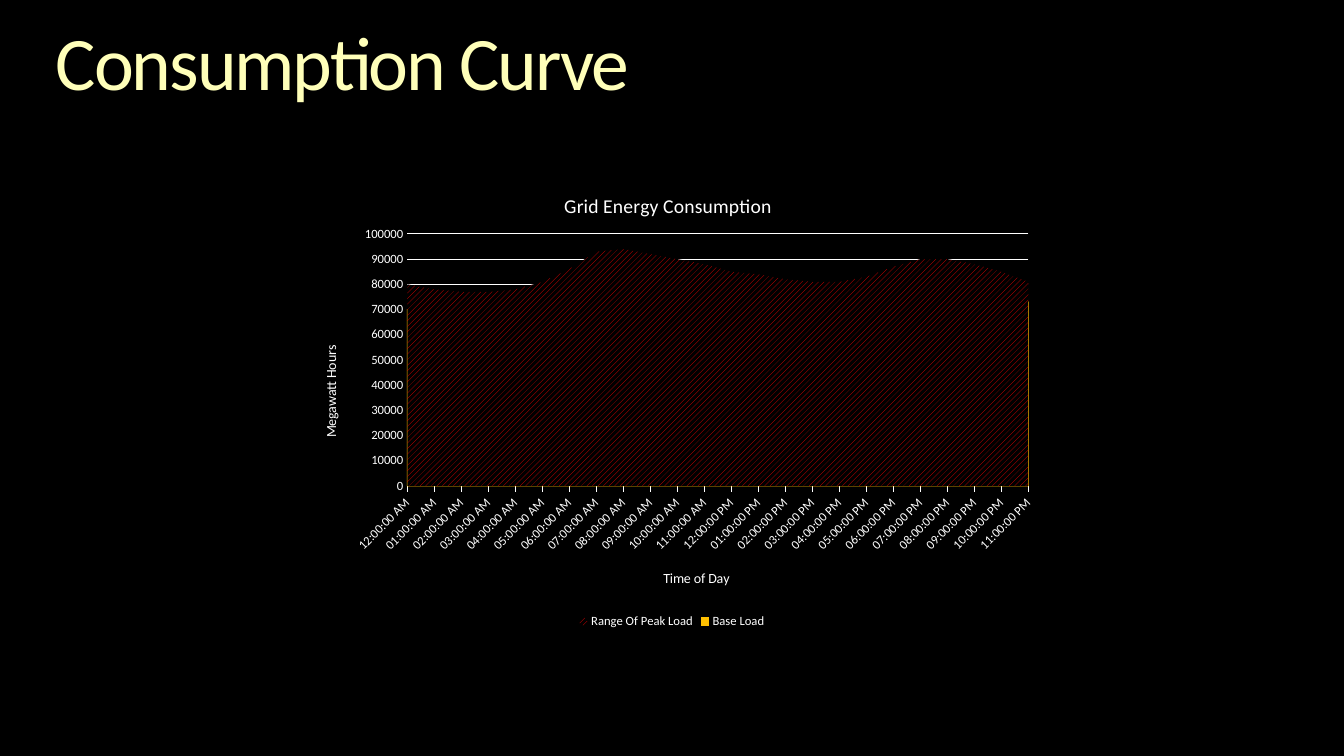
"""Build the Consumption Curve slide with an hourly energy area chart."""
import pptx
import pptx.util
import pptx.chart.data
import pptx.dml.color
import pptx.enum.chart
import pptx.enum.dml
import pptx.enum.text
import pptx.oxml

PX = 914400 / 100.8
BLACK = pptx.dml.color.RGBColor(0, 0, 0)
WHITE = pptx.dml.color.RGBColor(255, 255, 255)
RED = pptx.dml.color.RGBColor(255, 0, 0)
AMBER = pptx.dml.color.RGBColor(255, 192, 0)
CREAM = pptx.dml.color.RGBColor(255, 255, 185)
FONT = "Calibri"
CHART_LEFT, CHART_TOP, CHART_WIDTH, CHART_HEIGHT = 296, 169, 752, 464
PEAK_LOAD = [80, 78, 77, 77, 78, 81, 86, 93, 94, 92, 90, 88,
             85, 84, 82, 81, 81, 83, 87, 90, 90, 88, 85, 81]
BASE_LOAD = [70, 68, 67, 66, 65, 66, 67, 69, 71, 73, 74, 74,
             74, 74, 74, 74, 75, 76, 79, 81, 80, 78, 75, 73]


def style_font(font, size, color=WHITE):
    font.name = FONT
    font.size = pptx.util.Pt(size)
    font.bold = False
    font.color.rgb = color


def place(element, left, top, width=None, height=None):
    """Fix a chart part at a slide position given in px."""
    values = {"x": (left - CHART_LEFT) / CHART_WIDTH, "y": (top - CHART_TOP) / CHART_HEIGHT}
    target = ""
    if width:
        target = '<c:layoutTarget val="inner"/>'
        values.update(w=width / CHART_WIDTH, h=height / CHART_HEIGHT)
    modes = "".join(f'<c:{key}Mode val="edge"/>' for key in "xy")
    sizes = "".join(f'<c:{key} val="{value:.3f}"/>' for key, value in values.items())
    layout = pptx.oxml.parse_xml(
        '<c:layout xmlns:c="http://schemas.openxmlformats.org/drawingml/2006/chart">'
        f"<c:manualLayout>{target}{modes}{sizes}</c:manualLayout></c:layout>")
    for old in element.xpath("c:layout"):
        element.remove(old)
    element.insert(len(element.xpath("c:tx")), layout)


deck = pptx.Presentation()
deck.slide_width = round(1344 * PX)
deck.slide_height = round(756 * PX)
page = deck.slides.add_slide(deck.slide_layouts[5])
page.background.fill.solid()
page.background.fill.fore_color.rgb = BLACK

title = page.shapes.title
title.left, title.top, title.width, title.height = [round(n * PX) for n in (56, 25, 1231, 83)]
frame = title.text_frame
frame.margin_left = frame.margin_right = frame.margin_top = frame.margin_bottom = 0
frame.vertical_anchor = pptx.enum.text.MSO_ANCHOR.TOP
frame.text = "Consumption Curve"
para = frame.paragraphs[0]
para.alignment = pptx.enum.text.PP_ALIGN.LEFT
para.line_spacing = 0.9
style_font(para.font, 54, CREAM)
para.runs[0].font._element.set("spc", "-150")

data = pptx.chart.data.CategoryChartData(number_format="General")
data.categories = [f"{(hour - 1) % 12 + 1:02}:00:00 {'AM' if hour < 12 else 'PM'}"
                   for hour in range(24)]
for name, loads in (("Range Of Peak Load", PEAK_LOAD), ("Base Load", BASE_LOAD)):
    data.add_series(name, [load * 1000 for load in loads])
chart = page.shapes.add_chart(
    pptx.enum.chart.XL_CHART_TYPE.AREA,
    *[round(n * PX) for n in (CHART_LEFT, CHART_TOP, CHART_WIDTH, CHART_HEIGHT)], data).chart
style_font(chart.font, 10)
chart.plots[0].vary_by_categories = False
place(chart._chartSpace.chart.plotArea, 407, 234, 621, 252)

peak, base = chart.plots[0].series
peak.format.fill.patterned()
peak.format.fill.pattern = pptx.enum.dml.MSO_PATTERN.WIDE_UPWARD_DIAGONAL
peak.format.fill.fore_color.rgb = RED
peak.format.fill.back_color.rgb = BLACK
peak.format.line.fill.background()
base.format.fill.solid()
base.format.fill.fore_color.rgb = AMBER
base.format.line.color.rgb = AMBER
base.format.line.width = pptx.util.Pt(0.75)

hours, megawatts = chart.category_axis, chart.value_axis
for owner, wording, size, left, top in (
        (chart, "Grid Energy Consumption", 14, 561, 189),
        (hours, "Time of Day", 10, 661, 566),
        (megawatts, "Megawatt Hours", 10, 319, 343)):
    heading = owner.chart_title if owner is chart else owner.axis_title
    heading.text_frame.text = wording
    style_font(heading.text_frame.paragraphs[0].font, size)
    place(heading._element, left, top)
megawatts.axis_title.text_frame._txBody.bodyPr.set("rot", "-5400000")

for axis in (hours, megawatts):
    style_font(axis.tick_labels.font, 9)
    axis.major_tick_mark = axis.minor_tick_mark = pptx.enum.chart.XL_TICK_MARK.NONE
hours.major_tick_mark = pptx.enum.chart.XL_TICK_MARK.OUTSIDE
hours.has_major_gridlines = False
hours._element.txPr.bodyPr.set("rot", "-2700000")
megawatts.minimum_scale, megawatts.maximum_scale, megawatts.major_unit = 0, 100000, 10000
megawatts.format.line.fill.background()
megawatts.has_major_gridlines = True
for line in (hours.format.line, megawatts.major_gridlines.format.line):
    line.color.rgb = WHITE
    line.width = pptx.util.Pt(0.75)

chart.has_legend = True
chart.legend.position = pptx.enum.chart.XL_LEGEND_POSITION.BOTTOM
chart.legend.include_in_layout = False
style_font(chart.legend.font, 9)

deck.save("out.pptx")
